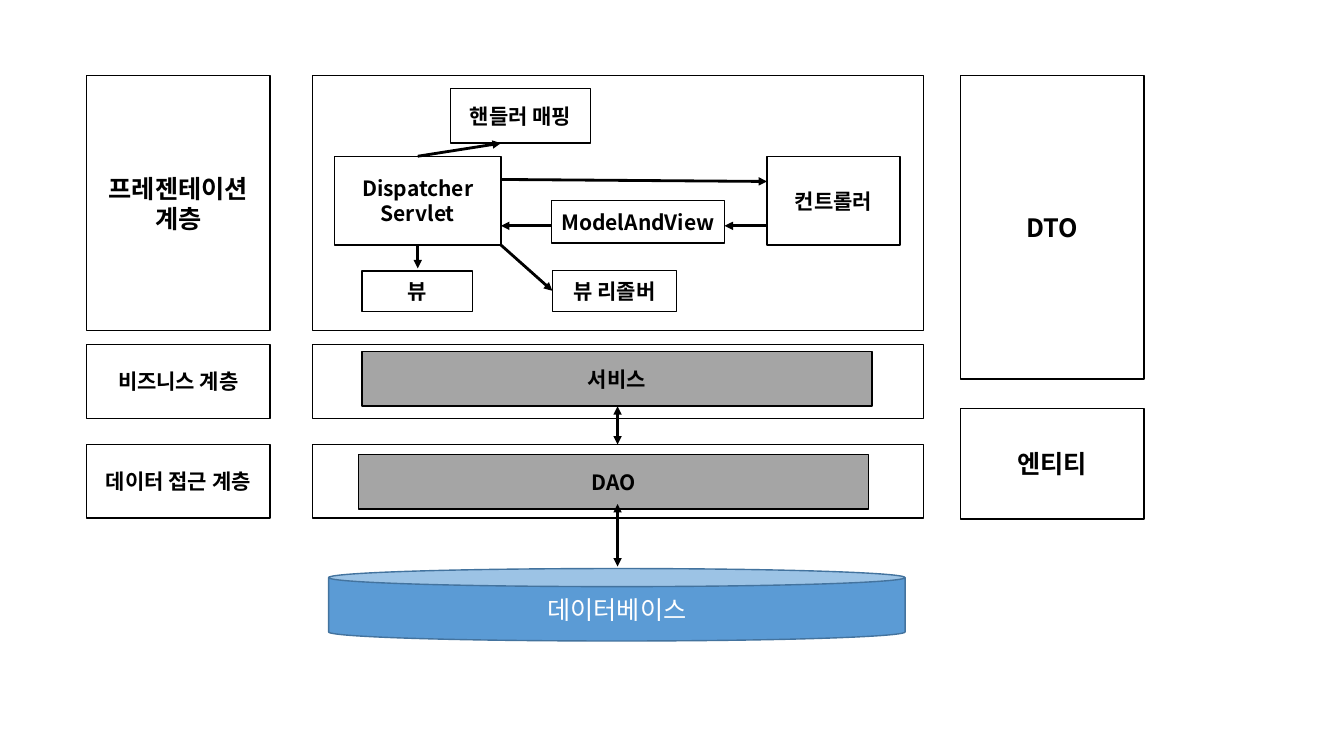
from dataclasses import dataclass

from lxml import etree
from pptx import Presentation
from pptx.dml.color import RGBColor
from pptx.enum.shapes import MSO_CONNECTOR, MSO_SHAPE
from pptx.enum.text import MSO_ANCHOR, PP_ALIGN
from pptx.oxml.ns import qn
from pptx.shapes.autoshape import Shape
from pptx.slide import Slide
from pptx.text.text import _Paragraph as Para
from pptx.util import Pt

RECT, CAN = MSO_SHAPE.RECTANGLE, MSO_SHAPE.CAN
STRAIGHT = MSO_CONNECTOR.STRAIGHT
MIDDLE = MSO_ANCHOR.MIDDLE
CENTER = PP_ALIGN.CENTER


@dataclass(frozen=True)
class Theme:
    face: str = "Noto Sans CJK KR"
    black: str = "000000"
    white: str = "FFFFFF"
    gray: str = "A5A5A5"
    blue: str = "5B9BD5"
    navy: str = "43739E"
    large: float = 18
    small: float = 15
    thin: float = 1
    thick: float = 2
    inset: float = 4


THEME = Theme()


@dataclass(frozen=True)
class Box:
    left: float
    top: float
    width: float
    height: float
    text: str = ""
    size: float = THEME.small
    fill: str = THEME.white
    line: str = THEME.black
    ink: str = THEME.black
    bold: bool = True
    kind: MSO_SHAPE = RECT

    @property
    def right(self) -> float:
        return self.left + self.width

    @property
    def bottom(self) -> float:
        return self.top + self.height

    @property
    def center(self) -> float:
        return self.left + self.width / 2

    @property
    def middle(self) -> float:
        return self.top + self.height / 2


@dataclass(frozen=True)
class Arrow:
    x1: float
    y1: float
    x2: float
    y2: float
    double: bool = False


def style_text(para: Para, box: Box) -> None:
    para.alignment = CENTER
    font = para.font
    font.size = Pt(box.size)
    font.bold = box.bold
    font.color.rgb = RGBColor.from_string(box.ink)
    font.name = THEME.face
    props = para._p.pPr.find(qn("a:defRPr"))
    etree.SubElement(props, qn("a:ea"), typeface=THEME.face)


def draw_box(slide: Slide, box: Box) -> Shape:
    shape = slide.shapes.add_shape(
        box.kind, Pt(box.left), Pt(box.top), Pt(box.width), Pt(box.height))
    shape.shadow.inherit = False
    shape.fill.solid()
    shape.fill.fore_color.rgb = RGBColor.from_string(box.fill)
    shape.line.color.rgb = RGBColor.from_string(box.line)
    shape.line.width = Pt(THEME.thin)
    if box.text:
        frame = shape.text_frame
        frame.word_wrap = True
        frame.vertical_anchor = MIDDLE
        frame.margin_left = frame.margin_right = Pt(THEME.inset)
        frame.text = box.text
        for para in frame.paragraphs:
            style_text(para, box)
    return shape


def draw_arrow(slide: Slide, arrow: Arrow) -> None:
    link = slide.shapes.add_connector(
        STRAIGHT, Pt(arrow.x1), Pt(arrow.y1), Pt(arrow.x2), Pt(arrow.y2))
    link.line.color.rgb = RGBColor.from_string(THEME.black)
    link.line.width = Pt(THEME.thick)
    props = link._element.spPr
    line = props.find(qn("a:ln"))
    for end in ("headEnd", "tailEnd") if arrow.double else ("tailEnd",):
        etree.SubElement(line, qn(f"a:{end}"), type="triangle")
    etree.SubElement(props, qn("a:effectLst"))


SIDE, MAIN, DATA = (61.9, 131), (223.2, 436.3), (686.2, 131)
ROWS = ((54, 182.2), (246.2, 52.6), (317.5, 52.6))
LAYERS = (
    ("프레젠테이션\n계층", THEME.large),
    ("비즈니스 계층", THEME.small),
    ("데이터 접근 계층", THEME.small),
)


def layer_boxes() -> list[Box]:
    boxes = []
    for (top, height), (text, size) in zip(ROWS, LAYERS):
        boxes.append(Box(SIDE[0], top, SIDE[1], height, text, size))
        boxes.append(Box(MAIN[0], top, MAIN[1], height))
    return boxes


handler = Box(321.8, 63.4, 100.1, 38.9, "핸들러 매핑")
servlet = Box(239, 111.6, 118.8, 63.4, "Dispatcher\nServlet")
model = Box(393.8, 143.3, 123.8, 30.2, "ModelAndView")
control = Box(547.9, 111.6, 95, 63.4, "컨트롤러")
view = Box(258.5, 193.7, 79.2, 28.8, "뷰")
solver = Box(394.6, 193, 88.6, 29.5, "뷰 리졸버")
service = Box(258.5, 251.3, 364.3, 38.9, "서비스", fill=THEME.gray)
dao = Box(256.3, 324.7, 364.3, 38.9, "DAO", fill=THEME.gray)
dto = Box(DATA[0], 54, DATA[1], 216.7, "DTO", THEME.large)
entity = Box(DATA[0], 291.6, DATA[1], 79.2, "엔티티", THEME.large)
base = Box(234.7, 406.1, 411.8, 51.8, "데이터베이스", THEME.large,
           THEME.blue, THEME.navy, THEME.white, False, CAN)

BOXES = layer_boxes() + [
    handler, servlet, model, control, view, solver,
    service, dao, dto, entity, base,
]

FLOW = 161.3
SPINE = 441.1
ARROWS = (
    Arrow(servlet.center, servlet.bottom, servlet.center, view.top - 2),
    Arrow(model.left, FLOW, servlet.right, FLOW),
    Arrow(servlet.center, servlet.top, servlet.right, handler.bottom),
    Arrow(servlet.right, servlet.bottom, solver.left, solver.middle),
    Arrow(servlet.right, 128.2, control.left, 129.6),
    Arrow(control.left, FLOW, model.right, FLOW),
    Arrow(SPINE, service.bottom, SPINE, ROWS[2][0], True),
    Arrow(SPINE, 360, SPINE, base.top - 1.4, True),
)


def main() -> None:
    deck = Presentation()
    deck.slide_width, deck.slide_height = Pt(960), Pt(540)
    slide = deck.slides.add_slide(deck.slide_layouts[6])
    for box in BOXES:
        draw_box(slide, box)
    for arrow in ARROWS:
        draw_arrow(slide, arrow)
    deck.save("out.pptx")


main()
